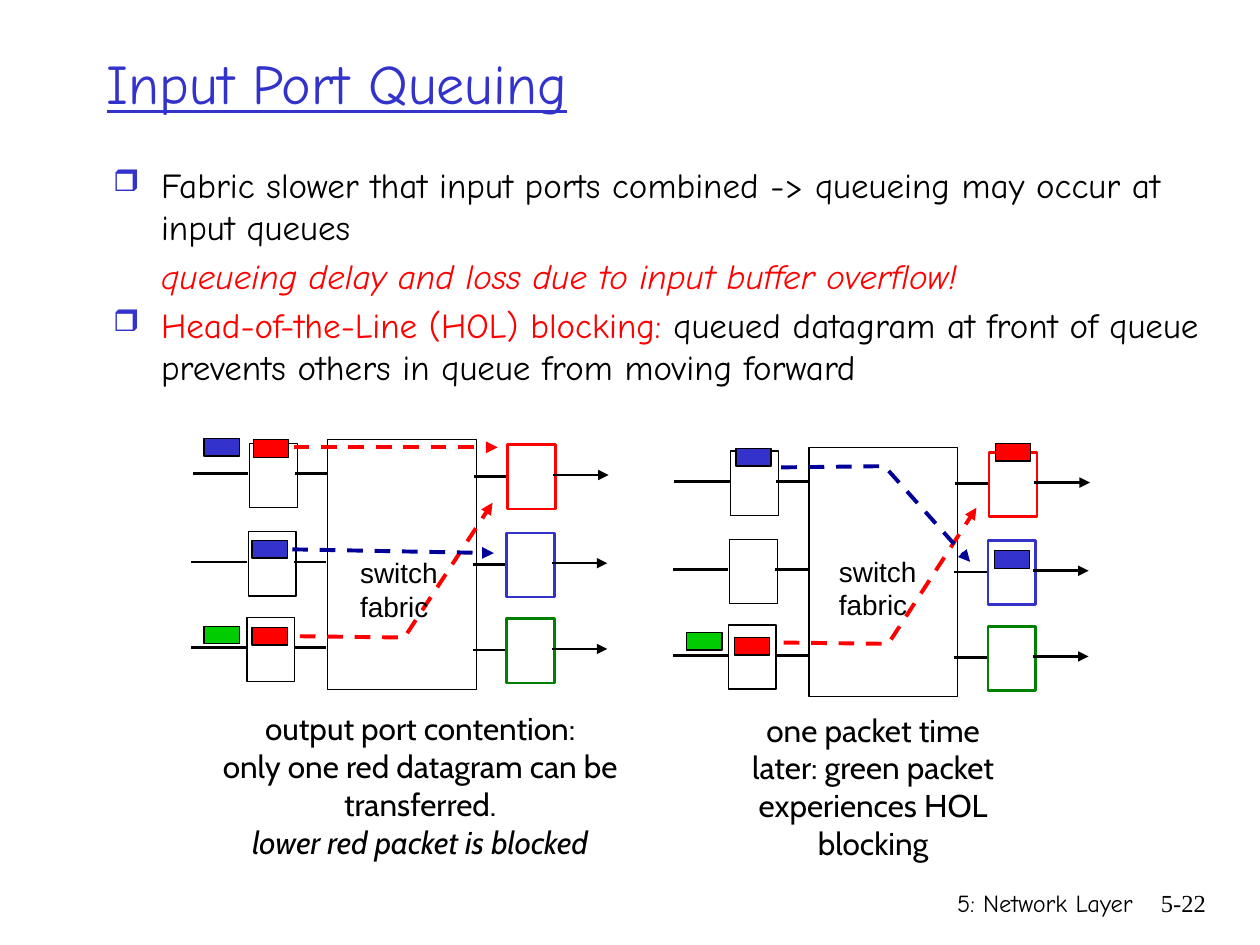
import lxml.etree
import pptx
import pptx.dml.color
import pptx.enum.dml
import pptx.enum.shapes
import pptx.enum.text
import pptx.oxml.ns
import pptx.util

Inches = pptx.util.Inches
Pt = pptx.util.Pt
RGBColor = pptx.dml.color.RGBColor
Align = pptx.enum.text.PP_ALIGN
qn = pptx.oxml.ns.qn

BLACK = RGBColor(0x00, 0x00, 0x00)
WHITE = RGBColor(0xFF, 0xFF, 0xFF)
RED = RGBColor(0xFF, 0x00, 0x00)
BLUE = RGBColor(0x33, 0x33, 0xCC)
NAVY = RGBColor(0x00, 0x00, 0x99)
GREEN = RGBColor(0x00, 0xCC, 0x00)
DARK_GREEN = RGBColor(0x00, 0x80, 0x00)

presentation = pptx.Presentation()
presentation.slide_width = Inches(10)
presentation.slide_height = Inches(7.5)
slide = presentation.slides.add_slide(presentation.slide_layouts[6])
shapes = slide.shapes


def add_text(box, paragraphs, font, size, align=Align.LEFT, wrap=True):
    """Add a text box; a run is (text, color, italic), and "\\v" is a line break."""
    frame = shapes.add_textbox(*[Inches(value) for value in box]).text_frame
    frame.word_wrap = wrap
    for index, runs in enumerate(paragraphs):
        paragraph = frame.paragraphs[0] if index == 0 else frame.add_paragraph()
        paragraph.alignment = align
        for text, color, italic in runs:
            if text == "\v":
                paragraph.add_line_break()
                continue
            run = paragraph.add_run()
            run.text = text
            run.font.name = font
            run.font.size = Pt(size)
            run.font.italic = italic
            run.font.color.rgb = color
    return frame


def draw_path(points, color, width, dashed, arrow):
    """Draw a straight connector, or an open outline when there are bends."""
    points = [(Inches(x), Inches(y)) for x, y in points]
    if len(points) == 2:
        shape = shapes.add_connector(
            pptx.enum.shapes.MSO_CONNECTOR.STRAIGHT, *points[0], *points[1])
    else:
        builder = shapes.build_freeform(*points[0])
        builder.add_line_segments(points[1:], close=False)
        shape = builder.convert_to_shape()
        shape.fill.background()
    shape.line.color.rgb = color
    shape.line.width = Pt(width)
    if dashed:
        shape.line.dash_style = pptx.enum.dml.MSO_LINE.DASH
    if arrow:
        lxml.etree.SubElement(
            shape.line._get_or_add_ln(), qn("a:tailEnd"), type="triangle")
    lxml.etree.SubElement(shape._element.spPr, qn("a:effectLst"))


# Title
title = add_text((0.75, 0.4, 8.5, 0.5),
                 [[("Input Port Queuing", BLUE, False)]], "Comic Neue", 32)
title.vertical_anchor = pptx.enum.text.MSO_ANCHOR.MIDDLE
title.paragraphs[0].runs[0].font.underline = True

# Body: hanging bullets, with one unbulleted line at the same margin
body = add_text((0.8, 1.25, 8.86, 3.3), [
    [("Fabric slower that input ports combined -> queueing may occur at "
      "input queues", BLACK, False)],
    [("queueing delay and loss due to input buffer overflow!", RED, True)],
    [("Head-of-the-Line (HOL) blocking:", RED, False),
     (" queued datagram at front of queue prevents others in queue from "
      "moving forward", BLACK, False)],
], "Comic Neue", 20)
for index, paragraph in enumerate(body.paragraphs):
    properties = paragraph._p.get_or_add_pPr()
    properties.set("marL", str(Inches(0.38)))
    if index != 1:
        properties.set("indent", str(Inches(-0.38)))
        bullet_color = lxml.etree.SubElement(properties, qn("a:buClr"))
        lxml.etree.SubElement(bullet_color, qn("a:srgbClr"), val=str(BLUE))
        lxml.etree.SubElement(properties, qn("a:buSzPct"), val="85000")
        lxml.etree.SubElement(properties, qn("a:buChar"), char="❒")
    if index > 0:
        paragraph.space_before = Pt(4)

# Two switches of the same build: fabric, ports and links
# box: left, top, width, height, fill, line color, line width
boxes = []
links = []
# row: shift, input port left, port top, output port color
PORT_ROWS = [
    (0, 1.98, 3.52, RED),
    (-0.01, 1.97, 4.22, BLUE),
    (-0.01, 1.96, 4.9, DARK_GREEN),
]
for dx, dy in [(0, 0), (3.82, 0.06)]:
    boxes.append((2.6 + dx, 3.49 + dy, 1.18, 1.98, WHITE, BLACK, 0.75))
    for shift, port_left, port_top, color in PORT_ROWS:
        top = port_top + dy
        left = dx + shift
        boxes.append((port_left + dx, top, 0.38, 0.51, WHITE, BLACK, 0.75))
        boxes.append((4.03 + left, top + 0.01, 0.38, 0.51, WHITE, color, 1.5))
        for start, end, drop, arrow in [
            (1.53, 1.97, 0.24, False),
            (2.34, 2.6, 0.24, False),
            (3.76, 4.02, 0.26, False),
            (4.39, 4.83, 0.25, True),
        ]:
            links.append((start + left, end + left, top + drop, arrow))

# Packets
for left, top, color in [
    (2.01, 3.49, RED), (2, 4.29, BLUE), (2, 4.98, RED),
    (1.62, 3.48, BLUE), (1.62, 4.97, GREEN),
    (7.9, 3.52, RED), (5.84, 3.56, BLUE), (5.83, 5.06, RED),
    (5.45, 5.02, GREEN), (7.89, 4.37, BLUE),
]:
    boxes.append((left, top, 0.28, 0.14, color, BLACK, 0.75))

for left, top, width, height, fill, line, line_width in boxes:
    shape = shapes.add_shape(
        pptx.enum.shapes.MSO_SHAPE.RECTANGLE,
        Inches(left), Inches(top), Inches(width), Inches(height))
    shape.shadow.inherit = False
    shape.fill.solid()
    shape.fill.fore_color.rgb = fill
    shape.line.color.rgb = line
    shape.line.width = Pt(line_width)

for start, end, y, arrow in links:
    draw_path([(start, y), (end, y)], BLACK, 1.5, False, arrow)

# Dashed packet routes
for color, points in [
    (RED, [(2.33, 3.55), (3.95, 3.55)]),
    (RED, [(2.38, 5.05), (3.21, 5.06), (3.91, 3.99)]),
    (NAVY, [(2.32, 4.36), (3.92, 4.39)]),
    (RED, [(6.22, 5.1), (7.05, 5.11), (7.75, 4.03)]),
    (NAVY, [(6.2, 3.71), (7.02, 3.7), (7.7, 4.46)]),
]:
    draw_path(points, color, 2.25, True, True)

# Fabric labels
for left, top in [(2.76, 4.36), (6.56, 4.35)]:
    add_text((left, top, 0.82, 0.64),
             [[("switch", BLACK, False)], [("fabric", BLACK, False)]],
             "Arial", 16, wrap=False)

# Captions
add_text((1.48, 5.58, 3.71, 1.3), [
    [("output port contention:", BLACK, False)],
    [("only one red datagram can be transferred.", BLACK, False),
     ("\v", BLACK, False),
     ("lower red packet is blocked", BLACK, True)],
], "Cabin", 18, Align.CENTER)
add_text((5.71, 5.59, 2.44, 1.3),
         [[("one packet time later: green packet experiences HOL blocking",
            BLACK, False)]], "Cabin", 18, Align.CENTER)

# Footer and slide number
add_text((5.92, 7, 3.17, 0.5), [[("5: Network Layer", BLACK, False)]],
         "Comic Neue", 14, Align.RIGHT)
add_text((8.93, 7, 0.74, 0.5), [[("5-22", BLACK, False)]],
         "Times New Roman", 14, Align.RIGHT)

presentation.save("out.pptx")
